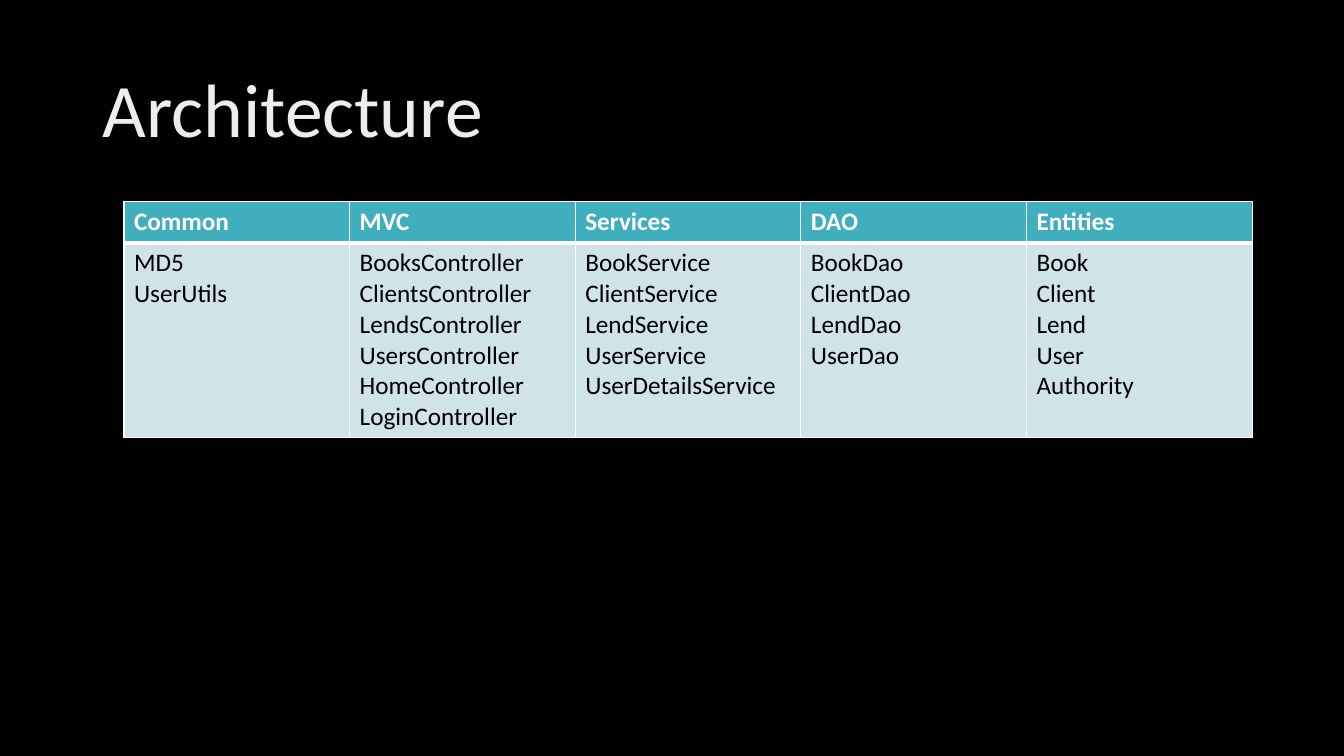
"""Build the Architecture slide: a title above a table of application layers."""
from lxml import etree
from pptx import Presentation
from pptx.dml.color import RGBColor
from pptx.enum.text import MSO_ANCHOR, PP_ALIGN
from pptx.oxml.ns import qn
from pptx.util import Inches, Pt

TITLE = "Architecture"
LAYERS = {
    "Common": ["MD5", "UserUtils"],
    "MVC": ["BooksController", "ClientsController", "LendsController",
            "UsersController", "HomeController", "LoginController"],
    "Services": ["BookService", "ClientService", "LendService", "UserService",
                 "UserDetailsService"],
    "DAO": ["BookDao", "ClientDao", "LendDao", "UserDao"],
    "Entities": ["Book", "Client", "Lend", "User", "Authority"],
}

BLACK = RGBColor(0x00, 0x00, 0x00)
WHITE = RGBColor(0xFF, 0xFF, 0xFF)
SILVER = RGBColor(0xED, 0xED, 0xED)
TEAL = RGBColor(0x41, 0xAE, 0xBD)
PALE_TEAL = RGBColor(0xCF, 0xE3, 0xE8)
LEFT = PP_ALIGN.LEFT
MIDDLE = MSO_ANCHOR.MIDDLE

FONT = "Calibri"
TABLE_LEFT, TABLE_TOP, TABLE_WIDTH = 1.23, 2, 11.19
ROW_HEIGHTS = (0.41, 1.9)
THIN, THICK = 1, 3


def write(frame, lines, size=18, color=BLACK, bold=False, spacing=None):
    """Write one formatted paragraph for each line."""
    frame.text = "\n".join(lines)
    for paragraph in frame.paragraphs:
        paragraph.alignment = LEFT
        paragraph.line_spacing = spacing
        for run in paragraph.runs:
            run.font.name = FONT
            run.font.size = Pt(size)
            run.font.bold = bold
            run.font.color.rgb = color


def add_borders(cell, top, bottom):
    """Draw white borders around a cell, with widths in points."""
    properties = cell._tc.get_or_add_tcPr()
    widths = {"lnL": THIN, "lnR": THIN, "lnT": top, "lnB": bottom}
    for side, width in widths.items():
        line = etree.SubElement(properties, qn(f"a:{side}"), w=str(Pt(width)))
        fill = etree.SubElement(line, qn("a:solidFill"))
        etree.SubElement(fill, qn("a:srgbClr"), val=str(WHITE))


def fill_cell(cell, lines, fill, top, bottom, **text_format):
    """Give a cell its borders, fill and text."""
    add_borders(cell, top, bottom)
    cell.fill.solid()
    cell.fill.fore_color.rgb = fill
    write(cell.text_frame, lines, **text_format)


def main():
    """Lay out the slide and save it."""
    deck = Presentation()
    deck.slide_width, deck.slide_height = Inches(13.33), Inches(7.5)
    slide = deck.slides.add_slide(deck.slide_layouts[5])
    slide.background.fill.solid()
    slide.background.fill.fore_color.rgb = BLACK

    title = slide.shapes.title
    title.left, title.top = Inches(0.92), Inches(0.4)
    title.width, title.height = Inches(11.5), Inches(1.45)
    title.text_frame.vertical_anchor = MIDDLE
    write(title.text_frame, [TITLE], size=54, color=SILVER, spacing=0.9)

    layers = slide.shapes.add_table(
        len(ROW_HEIGHTS), len(LAYERS), Inches(TABLE_LEFT), Inches(TABLE_TOP),
        Inches(TABLE_WIDTH), Inches(sum(ROW_HEIGHTS))).table
    for row, height in zip(layers.rows, ROW_HEIGHTS):
        row.height = Inches(height)
    for column, (layer, classes) in enumerate(LAYERS.items()):
        fill_cell(layers.cell(0, column), [layer], TEAL, THIN, THICK,
                  color=WHITE, bold=True)
        fill_cell(layers.cell(1, column), classes, PALE_TEAL, THICK, THIN)

    deck.save("out.pptx")


if __name__ == "__main__":
    main()
